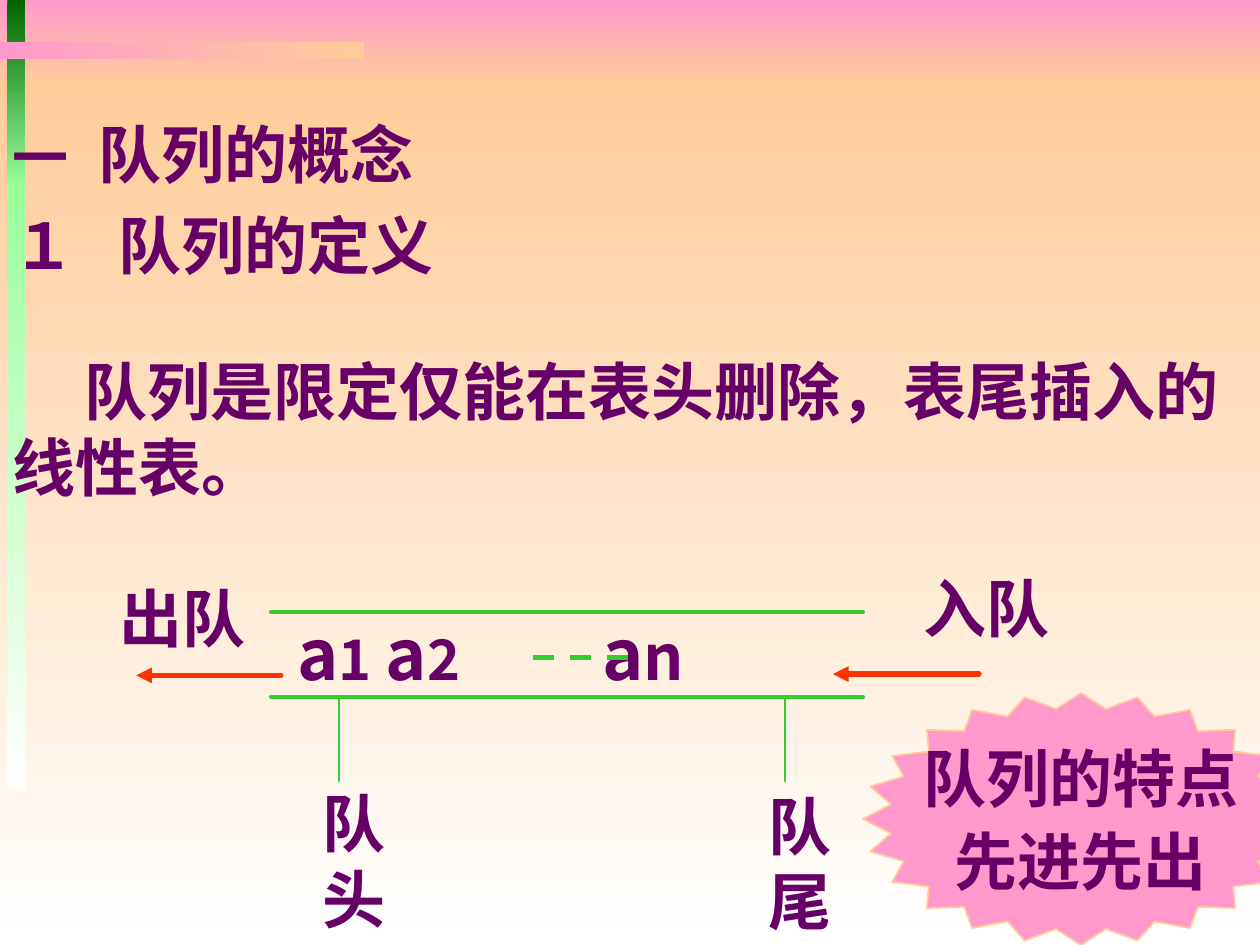
from lxml.etree import SubElement
from pptx import Presentation
from pptx.dml.color import RGBColor
from pptx.enum.dml import MSO_LINE
from pptx.enum.shapes import MSO_CONNECTOR, MSO_SHAPE
from pptx.enum.text import MSO_ANCHOR, MSO_AUTO_SIZE, PP_ALIGN
from pptx.oxml.ns import qn
from pptx.util import Inches, Pt

FONT = "Noto Sans CJK SC"
COLORS = {
    "pink": "FF99CC", "peach": "FFCC99", "white": "FFFFFF", "dark": "006600",
    "mint": "99FF99", "text": "660066", "green": "33CC33", "red": "FF3300",
}
BACKDROP = [
    ((0, 0, 10, 0.67), "pink", "peach", 270),
    ((0, 0.67, 10, 6.83), "peach", "white", 270),
    ((0.06, 0, 0.14, 1.48), "dark", "mint", 270),
    ((0.06, 1.46, 0.14, 4.81), "mint", "white", 270),
    ((0, 0.33, 2.89, 0.14), "pink", "peach", 0),
]
HEADING = [
    {"runs": [("一", 32), ("\t队列的概念", 36)], "tab": 0.68, "spacing": 1.2},
    {"runs": [("１\t队列的定义", 36)], "tab": 0.84, "spacing": 1.2},
]
DEFINITION = "队列是限定仅能在表头删除，表尾插入的线性表。"
ELEMENTS = [("a", 40), ("1", 32), (" ", 36), ("a", 40), ("2", 32),
            ("\ta", 40), ("n", 36)]
TEXTS = [
    ((0, 2.75, 10, 1.3), {"runs": [(DEFINITION, 36)], "indent": 0.57}),
    ((7.23, 4.47, 1.69, 0.7), {"runs": [("入队", 36)]}),
    ((2.26, 4.8, 5.12, 0.77), {"runs": ELEMENTS, "tab": 2.42}),
    ((2.46, 6.18, 0.77, 1.3), {"runs": [("队头", 36)]}),
    ((6, 6.2, 0.77, 1.3), {"runs": [("队尾", 36)]}),
    ((0.85, 4.55, 1.46, 0.7), {"runs": [("出队", 36)]}),
]
FEATURES = [
    {"runs": [("队列的特点", 36)], "align": PP_ALIGN.CENTER},
    {"runs": [("先进先出", 36)], "align": PP_ALIGN.CENTER, "before": 4.5},
]
QUEUE_LEFT, QUEUE_RIGHT, QUEUE_TOP, QUEUE_BOTTOM = 2.15, 6.85, 4.86, 5.53
LINES = [
    ((7.77, 5.35, 6.61, 5.35), "red", 3, "arrow"),
    ((4.23, 5.22, 5.08, 5.22), "green", 3, "dash"),
    *[((QUEUE_LEFT, y, QUEUE_RIGHT, y), "green", 2.25, None)
      for y in (QUEUE_TOP, QUEUE_BOTTOM)],
    *[((x, QUEUE_BOTTOM, x, 6.2), "green", 1, None) for x in (2.69, 6.23)],
    ((2.23, 5.36, 1.08, 5.36), "red", 3, "arrow"),
]


def rgb(name):
    return RGBColor.from_string(COLORS[name])


def box(values):
    return [Inches(value) for value in values]


def set_values(target, values):
    for name, value in values.items():
        setattr(target, name, value)


def write(frame, paragraphs, frame_format):
    set_values(frame, frame_format)
    for index, content in enumerate(paragraphs):
        paragraph = frame.add_paragraph() if index else frame.paragraphs[0]
        set_values(paragraph, {
            "alignment": content.get("align", PP_ALIGN.LEFT),
            "line_spacing": content.get("spacing", 1.0),
            "space_before": Pt(content.get("before", 0)),
        })
        properties = paragraph._p.get_or_add_pPr()
        if "indent" in content:
            properties.set("indent", str(Inches(content["indent"])))
        if "tab" in content:
            tabs = SubElement(properties, qn("a:tabLst"))
            SubElement(tabs, qn("a:tab"), pos=str(Inches(content["tab"])), algn="l")
        for text, size in content["runs"]:
            run = paragraph.add_run()
            run.text = text
            set_values(run.font, {"name": FONT, "size": Pt(size), "bold": True})
            run.font.color.rgb = rgb("text")
            SubElement(run._r.get_or_add_rPr(), qn("a:ea"), typeface=FONT)


def add_band(slide, place, start, end, angle):
    band = slide.shapes.add_shape(MSO_SHAPE.RECTANGLE, *box(place))
    band.shadow.inherit = False
    band.line.fill.background()
    band.fill.gradient()
    band.fill.gradient_angle = angle
    for stop, color, position in zip(band.fill.gradient_stops, (start, end), (0, 1)):
        stop.color.rgb = rgb(color)
        stop.position = position


def add_line(slide, ends, color, width, style):
    connector = slide.shapes.add_connector(MSO_CONNECTOR.STRAIGHT, *box(ends))
    connector.line.color.rgb = rgb(color)
    connector.line.width = Pt(width)
    outline = connector.line._get_or_add_ln()
    if style == "dash":
        connector.line.dash_style = MSO_LINE.DASH
    else:
        outline.set("cap", "rnd")
    if style == "arrow":
        SubElement(outline, qn("a:tailEnd"), type="triangle")
    SubElement(connector._element.spPr, qn("a:effectLst"))


def add_burst(slide):
    burst = slide.shapes.add_shape(MSO_SHAPE.STAR_24_POINT, *box((6.85, 5.5, 3.46, 2)))
    burst.adjustments[0] = 0.44
    burst.shadow.inherit = False
    burst.fill.solid()
    burst.fill.fore_color.rgb = rgb("pink")
    burst.line.color.rgb = rgb("peach")
    burst.line.width = Pt(1)
    write(burst.text_frame, FEATURES,
          {"word_wrap": False, "vertical_anchor": MSO_ANCHOR.MIDDLE})


def main():
    """Build the slide that defines a queue."""
    presentation = Presentation()
    presentation.slide_width, presentation.slide_height = Inches(10), Inches(7.5)
    slide = presentation.slides.add_slide(presentation.slide_layouts[5])
    for band in BACKDROP:
        add_band(slide, *band)

    title = slide.shapes.title
    slide.shapes._spTree.append(title._element)
    set_values(title, dict(zip(("left", "top", "width", "height"),
                               box((0, 0.75, 10, 1.54)))))
    top_format = {"word_wrap": True, "vertical_anchor": MSO_ANCHOR.TOP}
    write(title.text_frame, HEADING, {**top_format, "auto_size": MSO_AUTO_SIZE.NONE})

    for place, content in TEXTS:
        label = slide.shapes.add_textbox(*box(place))
        write(label.text_frame, [content],
              {**top_format, "auto_size": MSO_AUTO_SIZE.SHAPE_TO_FIT_TEXT})
    for line in LINES:
        add_line(slide, *line)
    add_burst(slide)
    presentation.save("out.pptx")


if __name__ == "__main__":
    main()
